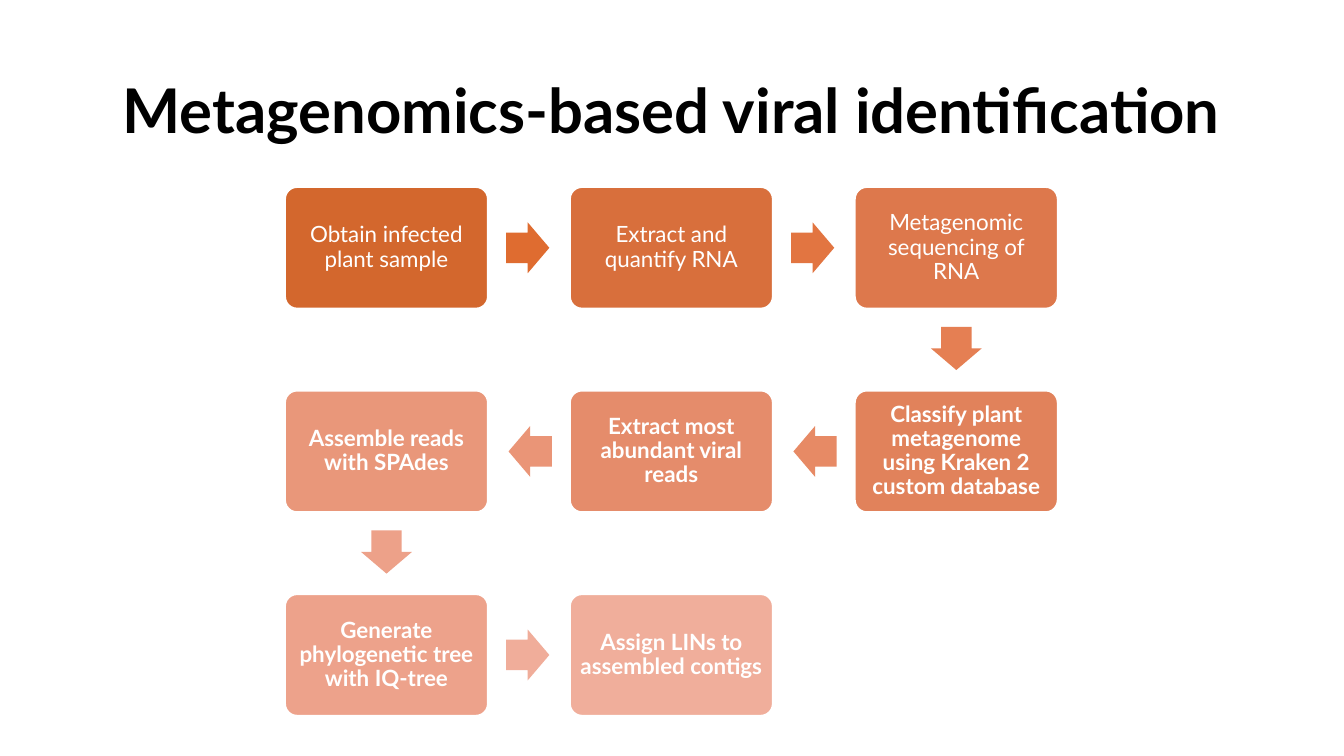
from dataclasses import dataclass
from math import atan2, degrees

from pptx import Presentation
from pptx.dml.color import RGBColor
from pptx.enum.shapes import MSO_SHAPE as Kind
from pptx.enum.text import MSO_ANCHOR as Anchor, PP_ALIGN as Align
from pptx.shapes.autoshape import Shape
from pptx.slide import Slide
from pptx.text.text import TextFrame
from pptx.util import Cm, Pt


@dataclass(frozen=True)
class Theme:
    font: str = "Lato"
    ink: str = "000000"
    white: str = "FFFFFF"
    title: int = 44
    body: int = 16
    edge: float = 1.5


@dataclass(frozen=True)
class Step:
    text: str
    fill: str
    arrow: str = ""  # fill of the arrow to the next step
    bold: bool = True


THEME = Theme()
STEPS = [
    Step("Obtain infected plant sample", "D3672D", "DF6C30", False),
    Step("Extract and quantify RNA", "D86F3C", "E27541", False),
    Step("Metagenomic sequencing of RNA", "DD784C", "E57F53", False),
    Step("Classify plant metagenome using Kraken 2 custom database",
         "E1825B", "E78A65"),
    Step("Extract most abundant viral reads", "E58C6B", "EA9577"),
    Step("Assemble reads with SPAdes", "E9977A", "EDA189"),
    Step("Generate phylogenetic tree with IQ-tree", "EDA28B", "F0AD9A"),
    Step("Assign LINs to assembled contigs", "F0AE9B"),
]

# Lengths in centimetres
COLS = 3
LEFT, TOP = 7.18, 4.71
BOX_W, BOX_H = 5.12, 3.07
STEP_X, STEP_Y = 7.18, 5.13
ARROW_W, ARROW_H = 1.09, 1.28
REACH = 1.0  # from the edge of a box to the centre of its arrow
INSET = 0.17


def cell(index: int) -> tuple[int, int]:
    """Column and row on a path that turns back at the end of each row."""
    row, col = divmod(index, COLS)
    return (COLS - 1 - col if row % 2 else col), row


def centre(index: int) -> tuple[float, float]:
    col, row = cell(index)
    return LEFT + col * STEP_X + BOX_W / 2, TOP + row * STEP_Y + BOX_H / 2


def write(frame: TextFrame, text: str, size: int, color: str, bold: bool) -> None:
    frame.word_wrap = True
    frame.vertical_anchor = Anchor.MIDDLE
    para = frame.paragraphs[0]
    para.alignment = Align.CENTER
    para.line_spacing = 0.9
    run = para.add_run()
    run.text = text
    font = run.font
    font.name, font.size, font.bold = THEME.font, Pt(size), bold
    font.color.rgb = RGBColor.from_string(color)


def place(slide: Slide, kind: Kind, mid: tuple[float, float],
          width: float, height: float, fill: str) -> Shape:
    """Add a plain filled shape around its centre."""
    x, y = mid
    shape = slide.shapes.add_shape(kind, Cm(x - width / 2), Cm(y - height / 2),
                                   Cm(width), Cm(height))
    shape.shadow.inherit = False
    shape.fill.solid()
    shape.fill.fore_color.rgb = RGBColor.from_string(fill)
    shape.line.fill.background()
    return shape


def add_box(slide: Slide, index: int, step: Step) -> None:
    box = place(slide, Kind.ROUNDED_RECTANGLE, centre(index), BOX_W, BOX_H, step.fill)
    box.adjustments[0] = 0.1
    box.line.color.rgb = RGBColor.from_string(THEME.white)
    box.line.width = Pt(THEME.edge)
    frame = box.text_frame
    frame.margin_left = frame.margin_right = Cm(INSET)
    frame.margin_top = frame.margin_bottom = Cm(INSET)
    write(frame, step.text, THEME.body, THEME.white, step.bold)


def add_arrow(slide: Slide, index: int, fill: str) -> None:
    (col, row), (to_col, to_row) = cell(index), cell(index + 1)
    dx, dy = to_col - col, to_row - row
    x, y = centre(index)
    mid = x + dx * (BOX_W / 2 + REACH), y + dy * (BOX_H / 2 + REACH)
    arrow = place(slide, Kind.RIGHT_ARROW, mid, ARROW_W, ARROW_H, fill)
    arrow.adjustments[0] = 0.6
    arrow.adjustments[1] = 0.5
    arrow.rotation = degrees(atan2(dy, dx))


def main() -> None:
    deck = Presentation()
    deck.slide_width, deck.slide_height = Cm(33.87), Cm(19.05)
    slide = deck.slides.add_slide(deck.slide_layouts[6])
    title = slide.shapes.add_textbox(Cm(2.33), Cm(1.01), Cm(29.21), Cm(3.68))
    write(title.text_frame, "Metagenomics-based viral identification",
          THEME.title, THEME.ink, True)
    for index, step in enumerate(STEPS):
        add_box(slide, index, step)
        if step.arrow:
            add_arrow(slide, index, step.arrow)
    deck.save("out.pptx")


if __name__ == "__main__":
    main()
